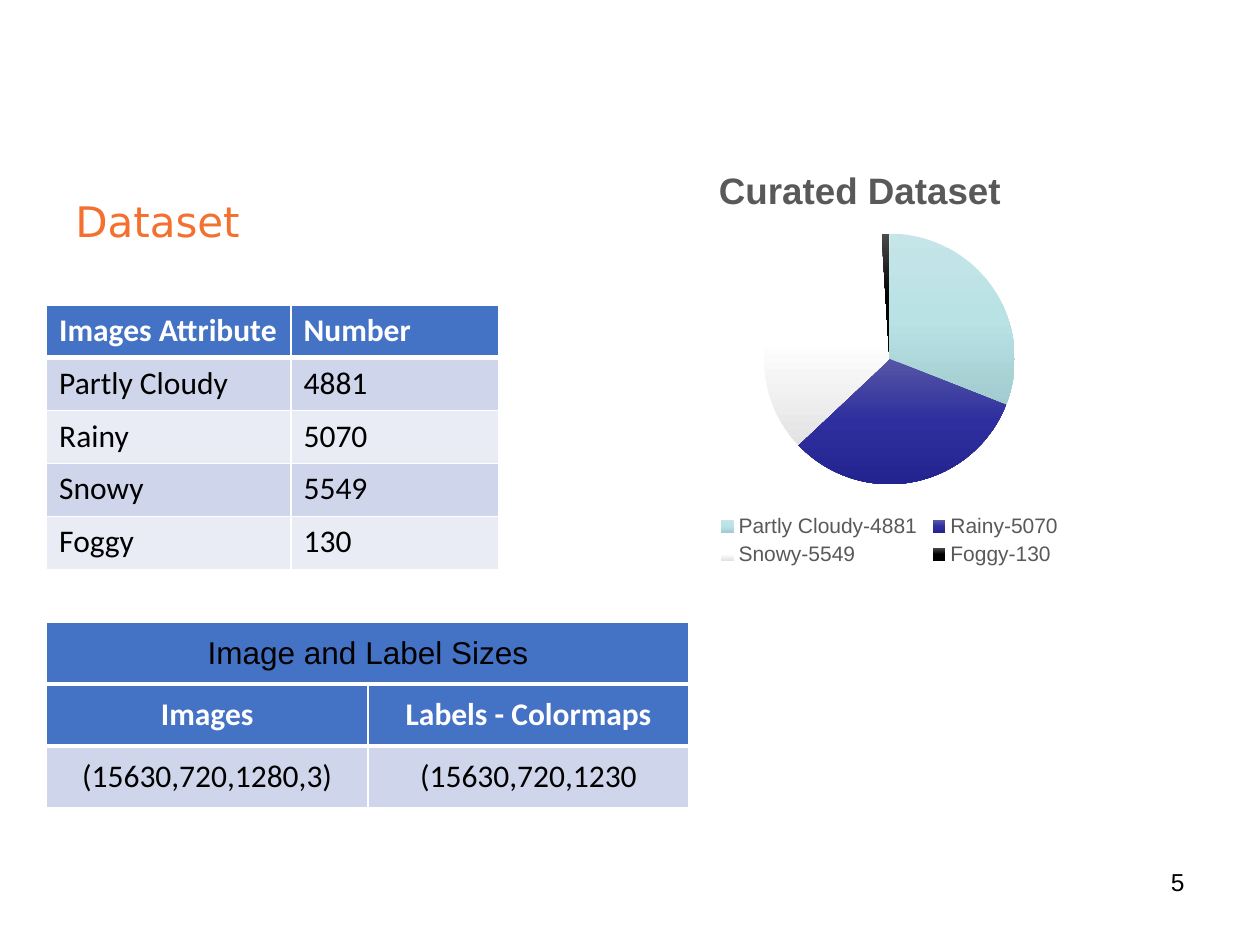
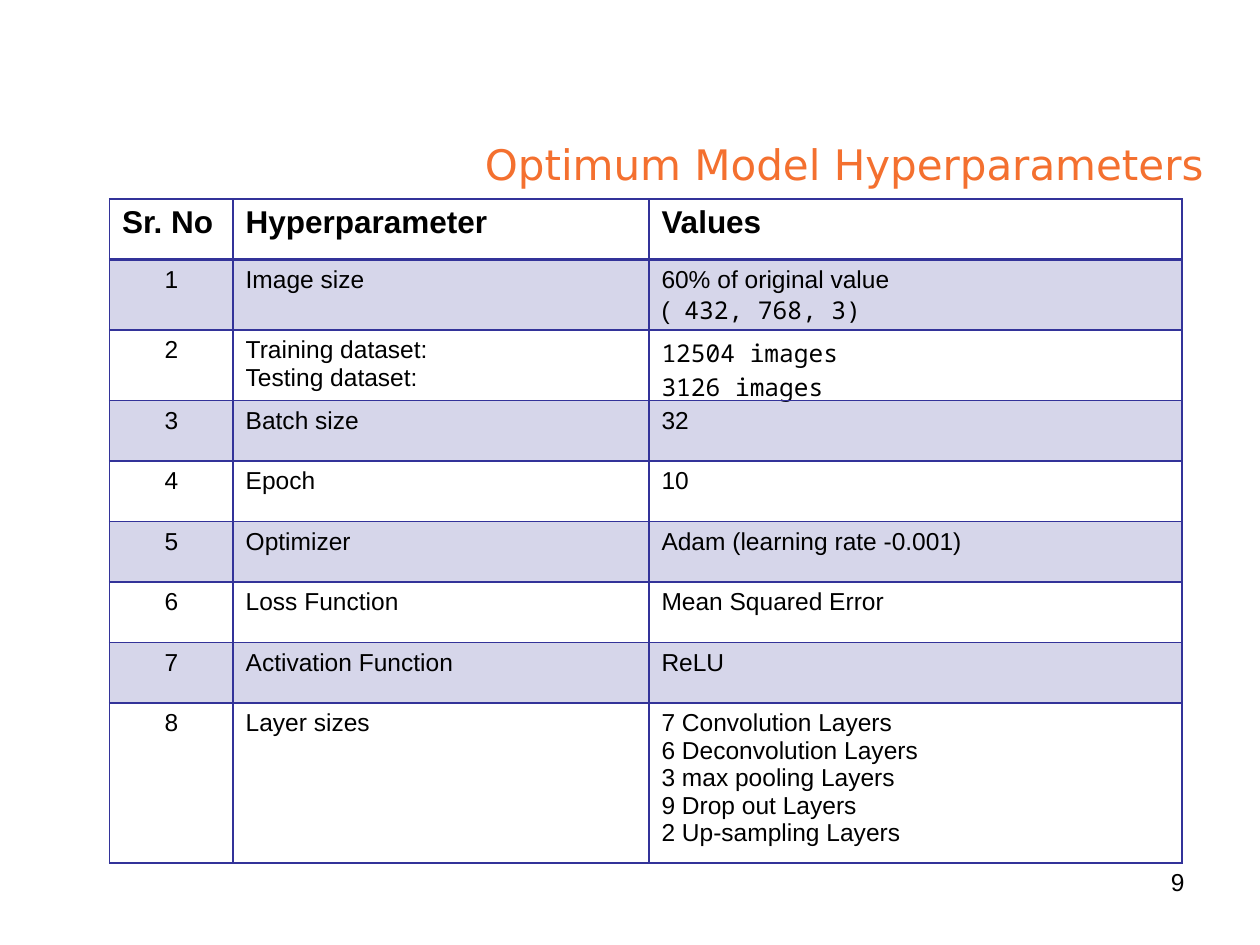
from dataclasses import dataclass

from lxml import etree
from pptx import Presentation
from pptx.chart.data import CategoryChartData
from pptx.dml.color import RGBColor
from pptx.enum.chart import XL_CHART_TYPE, XL_LEGEND_POSITION
from pptx.enum.text import MSO_ANCHOR, PP_ALIGN
from pptx.oxml import parse_xml
from pptx.oxml.ns import nsdecls, qn
from pptx.util import Inches, Pt

PIE = XL_CHART_TYPE.PIE
BOTTOM = XL_LEGEND_POSITION.BOTTOM
LEFT, CENTER, RIGHT = PP_ALIGN.LEFT, PP_ALIGN.CENTER, PP_ALIGN.RIGHT
TOP, MIDDLE = MSO_ANCHOR.TOP, MSO_ANCHOR.MIDDLE


@dataclass(frozen=True)
class Theme:
    title_font: str = "DejaVu Sans"
    body_font: str = "Arial"
    table_font: str = "Calibri"
    mono_font: str = "Noto Sans Mono"
    title_size: int = 24
    chart_title_size: int = 21
    table_size: int = 18
    small_size: int = 14
    legend_size: int = 12
    orange: str = "F4702F"
    black: str = "000000"
    white: str = "FFFFFF"
    gray: str = "595959"
    blue: str = "4472C4"
    dark_band: str = "CFD5EA"
    light_band: str = "E9EBF5"
    indigo: str = "333399"
    indigo_alpha: int = 20


THEME = Theme()


@dataclass(frozen=True)
class Span:
    text: str
    font: str


@dataclass(frozen=True)
class CellStyle:
    fill: str | None = None
    alpha: int = 100
    font: str = THEME.table_font
    size: int = THEME.table_size
    color: str = THEME.black
    bold: bool = False
    anchor: MSO_ANCHOR = TOP
    border: str = THEME.white
    top: int = 1
    bottom: int = 1
    bottom_margin: float = 0.05


@dataclass(frozen=True)
class Slice:
    label: str
    share: int
    colors: tuple[str, str, str]


# A paragraph is plain text or a list of spans in their own fonts.
Paragraph = str | list[Span]

SLICES = [
    Slice("Partly Cloudy-4881", 31, ("C5E5E8", "B9E2E5", "A1CBCE")),
    Slice("Rainy-5070", 32, ("5656A6", "2E2E9E", "242491")),
    Slice("Snowy-5549", 36, ("FFFFFF", "FFFFFF", "E3E3E3")),
    Slice("Foggy-130", 1, ("4B4B4B", "000000", "000000")),
]

ATTRIBUTES = [
    ("Images Attribute", "Number"),
    ("Partly Cloudy", "4881"),
    ("Rainy", "5070"),
    ("Snowy", "5549"),
    ("Foggy", "130"),
]

SIZES = [
    ("Image and Label Sizes", ""),
    ("Images", "Labels - Colormaps"),
    ("(15630,720,1280,3)", "(15630,720,1230"),
]

HYPERPARAMETERS = [
    ("Image size", ["60% of original value",
                    [Span("(", THEME.body_font),
                     Span(" 432, 768, 3)", THEME.mono_font)]]),
    (["Training dataset:", "Testing dataset:"],
     [[Span("12504 images", THEME.mono_font)],
      [Span("3126 images", THEME.mono_font)]]),
    ("Batch size", "32"),
    ("Epoch", "10"),
    ("Optimizer", "Adam (learning rate -0.001)"),
    ("Loss Function", "Mean Squared Error"),
    ("Activation Function", "ReLU"),
    ("Layer sizes", ["7 Convolution Layers", "6 Deconvolution Layers",
                     "3 max pooling Layers", "9 Drop out Layers",
                     "2 Up-sampling Layers"]),
]


# Text
def write_text(frame, text: str | list[Paragraph], *, font: str, size: int,
               color: str, bold: bool = False, align: PP_ALIGN = LEFT) -> None:
    paragraphs = [text] if isinstance(text, str) else text
    for index, content in enumerate(paragraphs):
        para = frame.add_paragraph() if index else frame.paragraphs[0]
        para.alignment = align
        spans = [Span(content, font)] if isinstance(content, str) else content
        for span in spans:
            run = para.add_run()
            run.text = span.text
            style_font(run.font, span.font, size, color, bold)


def style_font(target, name: str, size: int, color: str, bold: bool) -> None:
    target.name = name
    target.size = Pt(size)
    target.bold = bold
    target.color.rgb = RGBColor.from_string(color)


def add_text(page, text: str, left: float, top: float, width: float,
             **text_format) -> None:
    box = page.shapes.add_textbox(Inches(left), Inches(top),
                                  Inches(width), Inches(0.52))
    box.text_frame.word_wrap = True
    write_text(box.text_frame, text, **text_format)


def add_page(deck, title: str, left: float, top: float, number: int):
    page = deck.slides.add_slide(deck.slide_layouts[6])
    add_text(page, title, left, top, 9.17, font=THEME.title_font,
             size=THEME.title_size, color=THEME.orange)
    add_text(page, str(number), 7.17, 6.83, 2.33, font=THEME.body_font,
             size=THEME.small_size, color=THEME.black, align=RIGHT)
    return page


# Tables
def add_table(page, rows: list[tuple], left: float, top: float,
              widths: list[float], heights: list[float],
              styles: list[CellStyle], aligns: list[PP_ALIGN]):
    table = page.shapes.add_table(
        len(rows), len(widths), Inches(left), Inches(top),
        Inches(sum(widths)), Inches(sum(heights))).table
    for column, width in zip(table.columns, widths):
        column.width = Inches(width)
    for row, height, style, texts in zip(table.rows, heights, styles, rows):
        row.height = Inches(height)
        for cell, text, align in zip(row.cells, texts, aligns):
            style_cell(cell, style)
            if text:
                write_text(cell.text_frame, text, font=style.font,
                           size=style.size, color=style.color,
                           bold=style.bold, align=align)
    return table


def style_cell(cell, style: CellStyle) -> None:
    cell.vertical_anchor = style.anchor
    cell.margin_bottom = Inches(style.bottom_margin)
    if style.fill:
        cell.fill.solid()
        cell.fill.fore_color.rgb = RGBColor.from_string(style.fill)
    else:
        cell.fill.background()
    properties = cell._tc.get_or_add_tcPr()
    if style.alpha < 100:
        color = properties.find(qn("a:solidFill"))[0]
        etree.SubElement(color, qn("a:alpha"), val=str(style.alpha * 1000))
    edges = {"L": 1, "R": 1, "T": style.top, "B": style.bottom}
    for index, (side, width) in enumerate(edges.items()):
        properties.insert(index, parse_xml(
            f'<a:ln{side} {nsdecls("a")} w="{Pt(width)}"><a:solidFill>'
            f'<a:srgbClr val="{style.border}"/></a:solidFill></a:ln{side}>'))


# Pie chart
def set_layout(parent, position: int, target: str = "", **parts: float) -> None:
    """Place a chart part by fractions of the chart area."""
    for old in parent.findall(qn("c:layout")):
        parent.remove(old)
    modes = "".join(f'<c:{axis}Mode val="edge"/>' for axis in "xy")
    sizes = "".join(f'<c:{key} val="{value}"/>' for key, value in parts.items())
    parent.insert(position, parse_xml(
        f'<c:layout {nsdecls("c")}><c:manualLayout>{target}{modes}{sizes}'
        '</c:manualLayout></c:layout>'))


def add_pie(page) -> None:
    data = CategoryChartData()
    data.categories = [part.label for part in SLICES]
    data.add_series("Series 1", [part.share for part in SLICES])
    chart = page.shapes.add_chart(PIE, Inches(4.13), Inches(1.1), Inches(5.86),
                                  Inches(3.43), data).chart
    style_font(chart.font, THEME.body_font, 10, THEME.black, False)

    # Title, legend and plot positions
    chart.has_title = True
    title = chart.chart_title
    title.include_in_layout = False
    write_text(title.text_frame, "Curated Dataset", font=THEME.body_font,
               size=THEME.chart_title_size, color=THEME.gray, bold=True)
    set_layout(title._element, 1, x=0.26, y=0.05)
    chart.has_legend = True
    legend = chart.legend
    legend.position = BOTTOM
    legend.include_in_layout = False
    style_font(legend.font, THEME.body_font, THEME.legend_size, THEME.gray, False)
    set_layout(legend._element, 1, x=0.26, y=0.86, w=0.48, h=0.14)
    plot_area = chart._chartSpace.chart.plotArea
    set_layout(plot_area, 0, '<c:layoutTarget val="inner"/>',
               x=0.33, y=0.22, w=0.34, h=0.58)

    # Slices shaded from top to bottom
    points = chart.plots[0].series[0].points
    for index in range(len(SLICES)):
        points[index].format.fill.solid()
        points[index].format.line.fill.background()
    fills = plot_area.xpath(".//c:dPt/c:spPr/a:solidFill")
    for part, fill in zip(SLICES, fills):
        stops = "".join(
            f'<a:gs pos="{index * 50000}"><a:srgbClr val="{color}"/></a:gs>'
            for index, color in enumerate(part.colors))
        fill.getparent().replace(fill, parse_xml(
            f'<a:gradFill {nsdecls("a")} rotWithShape="1"><a:gsLst>{stops}'
            '</a:gsLst><a:lin ang="5400000" scaled="0"/></a:gradFill>'))


# Slides
def build_dataset(deck) -> None:
    page = add_page(deck, "Dataset", 0.5, 1.5, 5)
    add_pie(page)
    header = CellStyle(THEME.blue, color=THEME.white, bold=True, bottom=3)
    bands = [CellStyle(THEME.light_band if index % 2 else THEME.dark_band,
                       top=1 if index else 3)
             for index in range(len(ATTRIBUTES) - 1)]
    add_table(page, ATTRIBUTES, 0.37, 2.42, [1.94, 1.65],
              [0.42] * len(ATTRIBUTES), [header, *bands], [LEFT, LEFT])

    caption = CellStyle(THEME.blue, font=THEME.body_font, anchor=MIDDLE, bottom=3)
    heading = CellStyle(THEME.blue, color=THEME.white, bold=True,
                        anchor=MIDDLE, top=3, bottom=3)
    values = CellStyle(THEME.dark_band, anchor=MIDDLE, top=3)
    sizes = add_table(page, SIZES, 0.37, 4.94, [2.55, 2.55], [0.49] * len(SIZES),
                      [caption, heading, values], [CENTER, CENTER])
    sizes.cell(0, 0).merge(sizes.cell(0, 1))


def build_hyperparameters(deck) -> None:
    page = add_page(deck, "Optimum Model Hyperparameters", 3.75, 1.05, 9)
    rows = [("Sr. No", "Hyperparameter", "Values")]
    rows += [(str(number), *entry)
             for number, entry in enumerate(HYPERPARAMETERS, start=1)]
    header = CellStyle(font=THEME.body_font, bold=True, border=THEME.indigo,
                       bottom=2)
    body = [CellStyle(None if index % 2 else THEME.indigo,
                      alpha=100 if index % 2 else THEME.indigo_alpha,
                      font=THEME.body_font, size=THEME.small_size,
                      border=THEME.indigo, top=1 if index else 2,
                      bottom_margin=0)
            for index in range(len(HYPERPARAMETERS))]
    table = add_table(page, rows, 0.87, 1.58, [0.98, 3.3, 4.23],
                      [0.48, 0.56, 0.56, *[0.48] * 5, 1.27],
                      [header, *body], [CENTER, LEFT, LEFT])
    table.cell(0, 0).text_frame.paragraphs[0].alignment = LEFT


def main() -> None:
    deck = Presentation()
    deck.slide_width, deck.slide_height = Inches(10), Inches(7.5)
    build_dataset(deck)
    build_hyperparameters(deck)
    deck.save("out.pptx")


if __name__ == "__main__":
    main()
